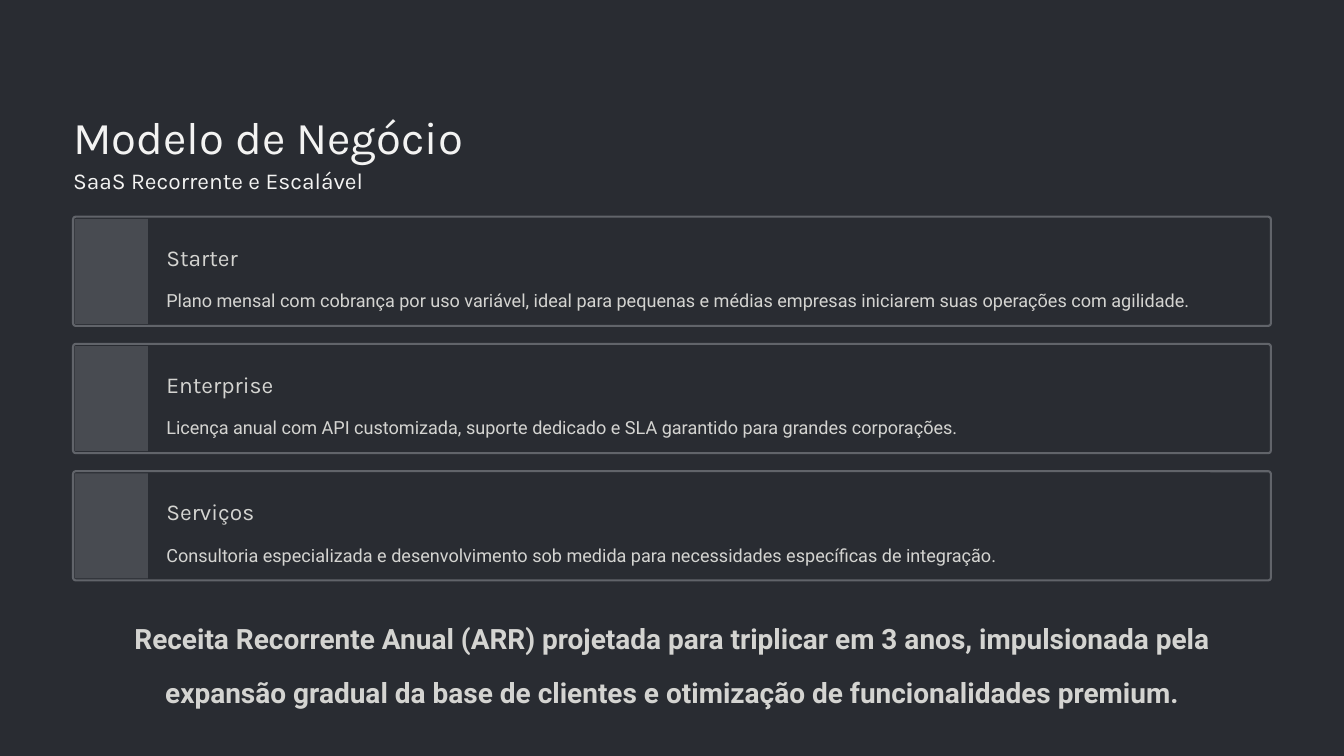
from dataclasses import dataclass

from pptx import Presentation
from pptx.dml.color import RGBColor
from pptx.enum.shapes import MSO_SHAPE
from pptx.enum.text import PP_ALIGN
from pptx.util import Inches, Pt


@dataclass(frozen=True)
class Theme:
    background: str = "292C32"
    border: str = "61646A"
    band: str = "484B51"
    heading: str = "F3F3F2"
    body: str = "D4D4D1"
    heading_font: str = "Karla"
    body_font: str = "Roboto"
    title_size: float = 39
    label_size: float = 19.5
    text_size: float = 15.5
    summary_size: float = 24
    border_width: float = 1.8
    heading_spacing: float = 1.23
    body_spacing: float = 1.61


THEME = Theme()
LEFT, WIDTH = 0.87, 14.26
PLANS_TOP, PLAN_HEIGHT, PLAN_PITCH = 2.58, 1.3, 1.515

PLANS = [
    ("Starter", "Plano mensal com cobrança por uso variável, ideal para pequenas "
     "e médias empresas iniciarem suas operações com agilidade."),
    ("Enterprise", "Licença anual com API customizada, suporte dedicado e SLA "
     "garantido para grandes corporações."),
    ("Serviços", "Consultoria especializada e desenvolvimento sob medida para "
     "necessidades específicas de integração."),
]
SUMMARY = ("Receita Recorrente Anual (ARR) projetada para triplicar em 3 anos, "
           "impulsionada pela expansão gradual da base de clientes e otimização "
           "de funcionalidades premium.")


def rgb(color):
    return RGBColor.from_string(color)


def add_text(slide, box, text, size, font, color, spacing,
             bold=False, align=PP_ALIGN.LEFT):
    tf = slide.shapes.add_textbox(*map(Inches, box)).text_frame
    tf.word_wrap = True
    tf.margin_left = tf.margin_right = tf.margin_top = tf.margin_bottom = 0
    p = tf.paragraphs[0]
    p.text = text
    p.alignment = align
    p.line_spacing = spacing
    r = p.runs[0]
    r.font.size = Pt(size)
    r.font.name = font
    r.font.bold = bold
    r.font.color.rgb = rgb(color)


def add_heading(slide, box, text, size, color):
    add_text(slide, box, text, size, THEME.heading_font, color,
             THEME.heading_spacing)


def add_panel(slide, box, radius, fill, border=None):
    sp = slide.shapes.add_shape(MSO_SHAPE.ROUNDED_RECTANGLE, *map(Inches, box))
    sp.shadow.inherit = False
    sp.adjustments[0] = radius
    sp.fill.solid()
    sp.fill.fore_color.rgb = rgb(fill)
    if border:
        sp.line.color.rgb = rgb(border)
        sp.line.width = Pt(THEME.border_width)
    else:
        sp.line.fill.background()


def add_header(slide, x, y, w):
    add_heading(slide, (x, y, w, 0.68), "Modelo de Negócio",
                THEME.title_size, THEME.heading)
    add_heading(slide, (x, y + 0.76, w, 0.34), "SaaS Recorrente e Escalável",
                THEME.label_size, THEME.heading)


def add_plan(slide, x, y, w, h, name, description):
    add_panel(slide, (x, y, w, h), 0.025, THEME.background, THEME.border)
    add_panel(slide, (x + 0.02, y + 0.025, 0.87, h - 0.05), 0.003, THEME.band)
    text_x, text_w = x + 1.11, w - 1.35
    add_heading(slide, (text_x, y + 0.245, text_w, 0.34), name,
                THEME.label_size, THEME.body)
    add_text(slide, (text_x, y + 0.71, text_w, 0.35), description,
             THEME.text_size, THEME.body_font, THEME.body, THEME.body_spacing)


def add_summary(slide, x, y, w, h):
    add_text(slide, (x, y, w, h), SUMMARY, THEME.summary_size, THEME.body_font,
             THEME.body, THEME.body_spacing, bold=True, align=PP_ALIGN.CENTER)


def main():
    prs = Presentation()
    prs.slide_width, prs.slide_height = Inches(16), Inches(9)
    slide = prs.slides.add_slide(prs.slide_layouts[6])
    slide.background.fill.solid()
    slide.background.fill.fore_color.rgb = rgb(THEME.background)

    add_header(slide, LEFT, 1.15, WIDTH)
    for i, (name, description) in enumerate(PLANS):
        add_plan(slide, LEFT, PLANS_TOP + i * PLAN_PITCH, WIDTH, PLAN_HEIGHT,
                 name, description)
    add_summary(slide, LEFT, 7.16, WIDTH, 0.69)
    prs.save("out.pptx")


if __name__ == "__main__":
    main()
